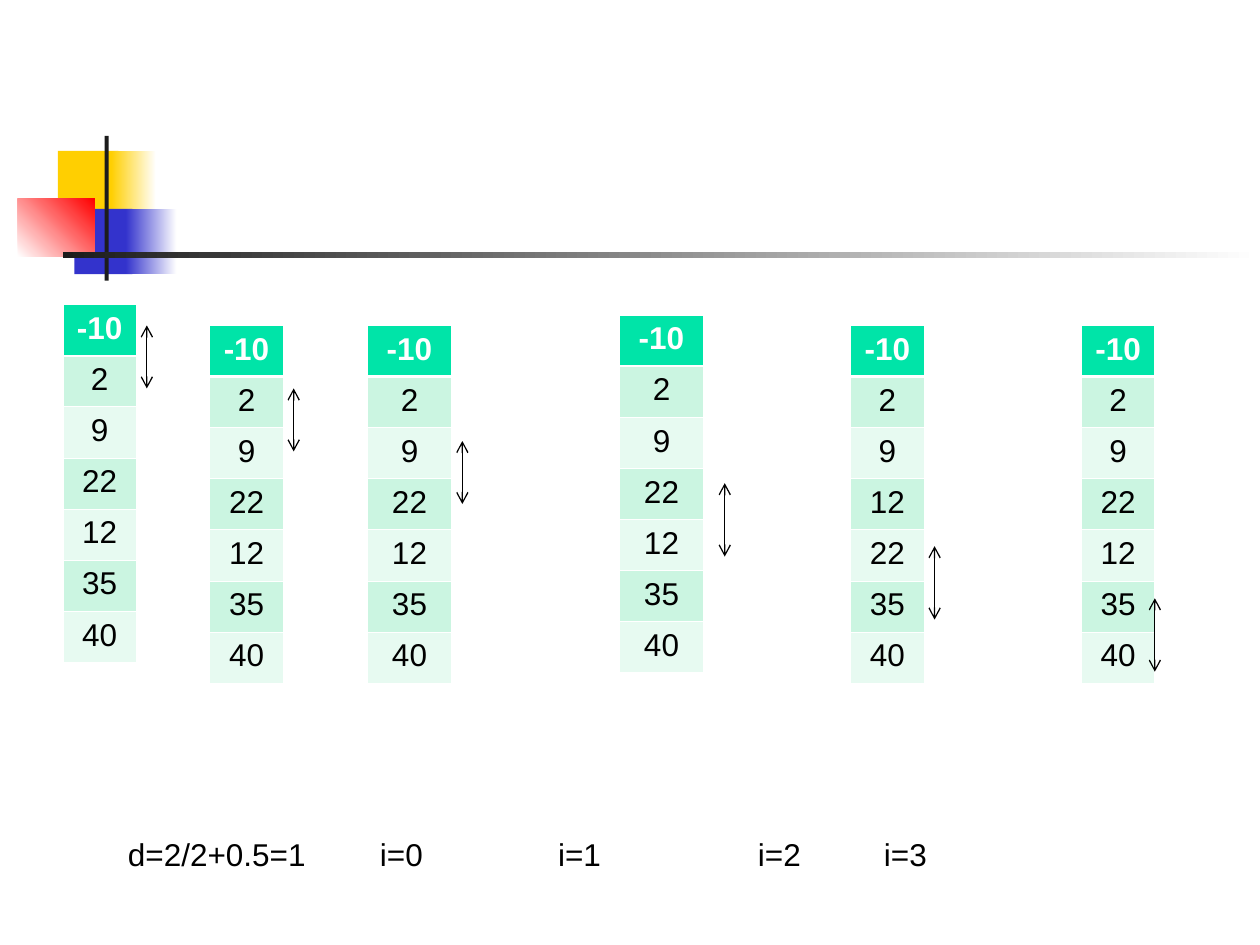
from dataclasses import dataclass

from lxml.etree import SubElement
from pptx import Presentation
from pptx.dml.color import RGBColor
from pptx.enum.shapes import MSO_CONNECTOR, MSO_SHAPE
from pptx.enum.text import PP_ALIGN
from pptx.oxml.ns import qn
from pptx.util import Cm, Pt


@dataclass(frozen=True)
class Theme:
    font: str = "Arial"
    text_size: float = 18
    line_width: float = 0.75
    border_width: float = 0.45
    header_border_width: float = 1.47
    black: str = "000000"
    white: str = "FFFFFF"
    yellow: str = "FFCF01"
    blue: str = "3333CC"
    red: str = "FF0000"
    charcoal: str = "1C1C1C"
    header: str = "00E4A8"
    bands: tuple = ("CBF5E1", "E7FAF1")


@dataclass(frozen=True)
class Box:
    """A region in centimetres."""
    left: float
    top: float
    width: float
    height: float


THEME = Theme()
ROW_HEIGHT = 1.03
VALUES = ("-10", "2", "9", "22", "12", "35", "40")
SWAPPED = ("-10", "2", "9", "12", "22", "35", "40")

# Table left, top, width; values; arrow offset x, offset y, length
STEPS = (
    (1.27, 6.14, 1.48, VALUES, 1.69, 0.42, 1.27),
    (4.23, 6.56, 1.48, VALUES, 1.69, 1.27, 1.27),
    (7.41, 6.56, 1.69, VALUES, 1.91, 2.33, 1.27),
    (12.49, 6.35, 1.69, VALUES, 2.12, 3.39, 1.48),
    (17.15, 6.56, 1.48, SWAPPED, 1.69, 4.45, 1.48),
    (21.8, 6.56, 1.48, VALUES, 1.48, 5.5, 1.48),
)


def add_run(paragraph, text, color, bold=False):
    run = paragraph.add_run()
    run.text = text
    run.font.name = THEME.font
    run.font.size = Pt(THEME.text_size)
    run.font.bold = bold
    run.font.color.rgb = RGBColor.from_string(color)


def add_block(slide, box, colors, angle=0):
    """Draw a plain rectangle; two colours make a gradient."""
    shape = slide.shapes.add_shape(
        MSO_SHAPE.RECTANGLE, Cm(box.left), Cm(box.top), Cm(box.width), Cm(box.height))
    shape.shadow.inherit = False
    shape.line.fill.background()
    if len(colors) == 1:
        shape.fill.solid()
        shape.fill.fore_color.rgb = RGBColor.from_string(colors[0])
        return
    shape.fill.gradient()
    shape.fill.gradient_angle = angle
    for stop, color in zip(shape.fill.gradient_stops, colors):
        stop.color.rgb = RGBColor.from_string(color)


def add_decoration(slide, box):
    """Coloured squares with the crossing bars."""
    square = 1.32
    rule_left = 0.91
    blocks = (
        (0.81, 0.3, 1.22, square, (THEME.yellow,), 0),
        (1.88, 0.3, 0.91, square, (THEME.yellow, THEME.white), 0),
        (1.14, 1.47, 1.17, square, (THEME.blue,), 0),
        (2.18, 1.47, 1.02, square, (THEME.blue, THEME.white), 0),
        (0, 1.27, 1.55, 1.17, (THEME.white, THEME.red), 45),
        (1.75, 0, 0.08, box.height, (THEME.charcoal,), 0),
        (rule_left, 2.34, box.width - rule_left, 0.13, (THEME.charcoal, THEME.white), 0),
    )
    for left, top, width, height, colors, angle in blocks:
        block_box = Box(box.left + left, box.top + top, width, height)
        add_block(slide, block_box, colors, angle)


def set_borders(cell, row_index):
    thick_side = {0: "lnB", 1: "lnT"}.get(row_index)
    properties = cell._tc.get_or_add_tcPr()
    for side in ("lnL", "lnR", "lnT", "lnB"):
        width = THEME.header_border_width if side == thick_side else THEME.border_width
        line = SubElement(properties, qn(f"a:{side}"), w=str(Pt(width)))
        fill = SubElement(line, qn("a:solidFill"))
        SubElement(fill, qn("a:srgbClr"), val=THEME.white)


def add_array_table(slide, box, values):
    """One-column table showing the array at one step."""
    table = slide.shapes.add_table(
        len(values), 1, Cm(box.left), Cm(box.top), Cm(box.width), Cm(box.height)).table
    for index, value in enumerate(values):
        is_header = index == 0
        table.rows[index].height = Cm(box.height / len(values))
        cell = table.cell(index, 0)
        set_borders(cell, index)
        cell.fill.solid()
        color = THEME.header if is_header else THEME.bands[(index - 1) % 2]
        cell.fill.fore_color.rgb = RGBColor.from_string(color)
        paragraph = cell.text_frame.paragraphs[0]
        paragraph.alignment = PP_ALIGN.CENTER
        add_run(paragraph, value, THEME.white if is_header else THEME.black, is_header)


def add_compare_arrow(slide, box):
    """Vertical two-headed arrow."""
    connector = slide.shapes.add_connector(
        MSO_CONNECTOR.STRAIGHT, Cm(box.left), Cm(box.top),
        Cm(box.left + box.width), Cm(box.top + box.height))
    connector.line.width = Pt(THEME.line_width)
    connector.line.color.rgb = RGBColor.from_string(THEME.black)
    line = connector.line._get_or_add_ln()
    for end in ("headEnd", "tailEnd"):
        SubElement(line, qn(f"a:{end}"), type="arrow")
    SubElement(connector._element.spPr, qn("a:effectLst"))


def add_caption(slide, box):
    """Gap formula and loop counters, spaced by tab stops."""
    text_box = slide.shapes.add_textbox(
        Cm(box.left), Cm(box.top), Cm(box.width), Cm(box.height))
    text_box.text_frame.word_wrap = True
    paragraph = text_box.text_frame.paragraphs[0]
    tab_list = SubElement(paragraph._p.get_or_add_pPr(), qn("a:tabLst"))
    for position in (5.08, 8.67, 12.7, 15.24):
        SubElement(tab_list, qn("a:tab"), pos=str(Cm(position)), algn="l")
    add_run(paragraph, "d=2/2+0.5=1\ti=0\ti=1\ti=2\ti=3", THEME.black)


def build_slide(presentation):
    slide = presentation.slides.add_slide(presentation.slide_layouts[6])
    add_decoration(slide, Box(0.36, 2.74, 25.04, 2.92))
    add_caption(slide, Box(2.33, 16.71, 20.96, 1.02))
    # Array steps with the compared pair marked
    for left, top, width, values, offset_x, offset_y, length in STEPS:
        add_array_table(slide, Box(left, top, width, ROW_HEIGHT * len(values)), values)
        add_compare_arrow(slide, Box(left + offset_x, top + offset_y, 0, length))


def main():
    presentation = Presentation()
    presentation.slide_width = Cm(25.4)
    presentation.slide_height = Cm(19.05)
    build_slide(presentation)
    presentation.save("out.pptx")


if __name__ == "__main__":
    main()
